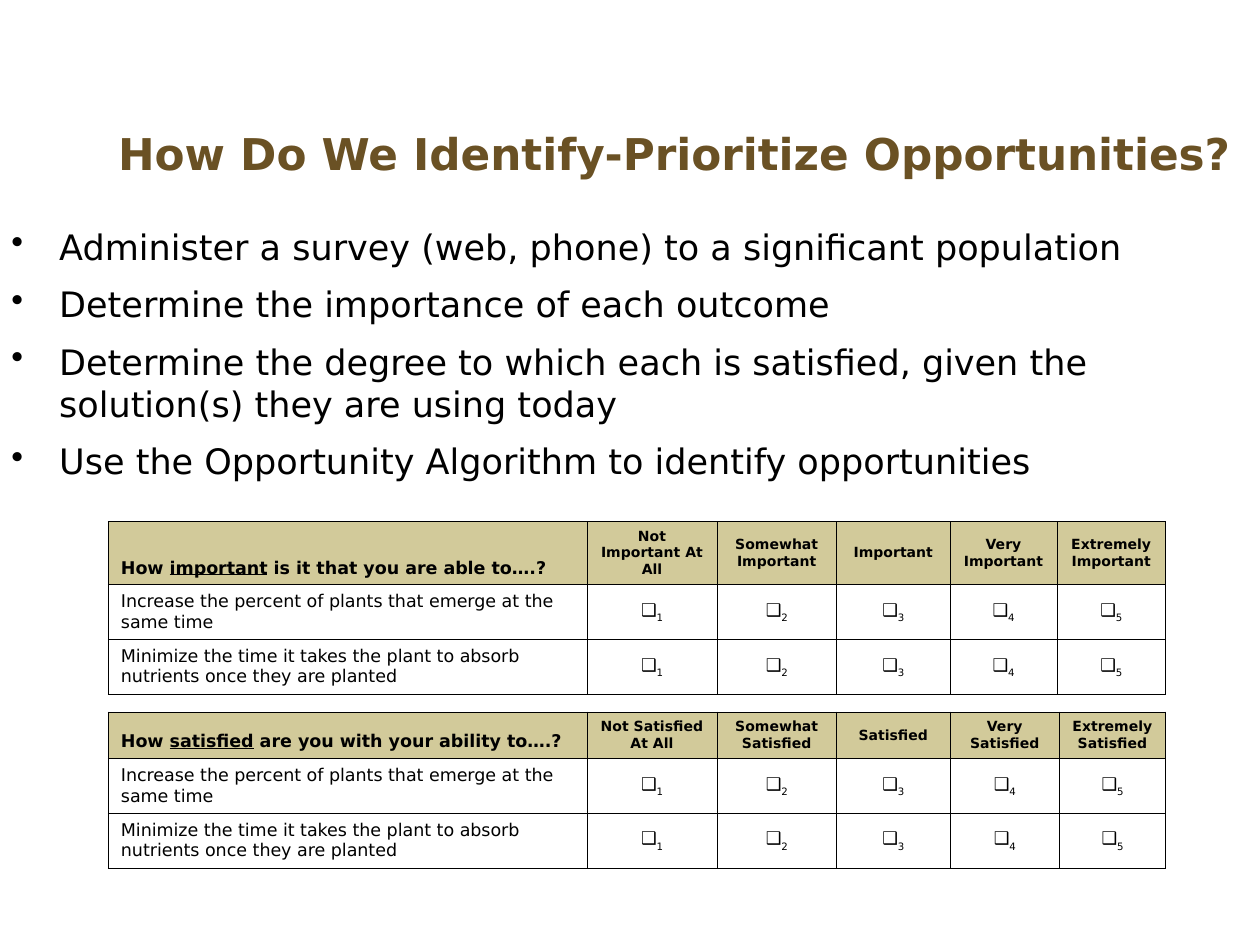
import pptx
import pptx.util
import pptx.dml.color
import pptx.enum.text
import pptx.oxml
import pptx.oxml.ns
from pptx.util import Inches

FONT = "DejaVu Sans"
BLACK, WHITE, BROWN, TAN = "000000", "FFFFFF", "6A5124", "D2CA9A"
LEFT, CENTER = pptx.enum.text.PP_ALIGN.LEFT, pptx.enum.text.PP_ALIGN.CENTER
MIDDLE, BOTTOM = pptx.enum.text.MSO_ANCHOR.MIDDLE, pptx.enum.text.MSO_ANCHOR.BOTTOM

BULLETS = [
    "Administer a survey (web, phone) to a significant population",
    "Determine the importance of each outcome",
    "Determine the degree to which each is satisfied, given the "
    "solution(s) they are using today",
    "Use the Opportunity Algorithm to identify opportunities",
]
OUTCOMES = [
    "Increase the percent of plants that emerge at the same time",
    "Minimize the time it takes the plant to absorb nutrients once they are planted",
]


def rgb(color):
    return pptx.dml.color.RGBColor.from_string(color)


def style_font(font, size, color=BLACK, bold=False, name=FONT):
    font.name = name
    font.size = pptx.util.Pt(size)
    font.bold = bold
    font.color.rgb = rgb(color)


def set_insets(tf):
    tf.margin_left = tf.margin_right = Inches(0.09)
    tf.margin_top = tf.margin_bottom = Inches(0.04)


def add_title(s, text):
    sp = s.shapes.title
    sp.left, sp.top = Inches(0.7), Inches(0.78)
    sp.width, sp.height = Inches(9.3), Inches(0.87)
    sp.fill.solid()
    sp.fill.fore_color.rgb = rgb(WHITE)
    tf = sp.text_frame
    tf.text = text
    tf.word_wrap = True
    tf.auto_size = pptx.enum.text.MSO_AUTO_SIZE.NONE
    tf.vertical_anchor = MIDDLE
    set_insets(tf)
    p = tf.paragraphs[0]
    p.alignment = CENTER
    style_font(p.runs[0].font, 25, BROWN, bold=True)


def add_bullets(s, lines):
    sp = s.shapes.add_textbox(Inches(0), Inches(1.75), Inches(9), Inches(4.95))
    tf = sp.text_frame
    tf.word_wrap = True
    set_insets(tf)
    for i, line in enumerate(lines):
        p = tf.add_paragraph() if i else tf.paragraphs[0]
        p.text = line
        p.space_before = pptx.util.Pt(8.8 if i else 0)
        pPr = p._p.get_or_add_pPr()
        pPr.set("marL", str(Inches(0.38)))
        pPr.set("indent", str(Inches(-0.38)))
        bullet = pptx.oxml.parse_xml(
            f'<a:buChar {pptx.oxml.ns.nsdecls("a")} char="•"/>')
        pPr.append(bullet)
        style_font(p.runs[0].font, 20)


def add_borders(cell):
    tcPr = cell._tc.get_or_add_tcPr()
    for i, side in enumerate(("lnL", "lnR", "lnT", "lnB")):
        line = pptx.oxml.parse_xml(
            f'<a:{side} {pptx.oxml.ns.nsdecls("a")} w="{pptx.util.Pt(0.45)}">'
            f'<a:solidFill><a:srgbClr val="{BLACK}"/></a:solidFill></a:{side}>')
        tcPr.insert(i, line)  # borders come before the fill


def fill_cell(cell, fill, anchor=MIDDLE, align=CENTER):
    """Format a cell and return its paragraph."""
    cell.fill.solid()
    cell.fill.fore_color.rgb = rgb(fill)
    add_borders(cell)
    cell.vertical_anchor = anchor
    p = cell.text_frame.paragraphs[0]
    p.alignment = align
    return p


def add_run(p, text, size, bold=False, name=FONT):
    r = p.add_run()
    r.text = text
    style_font(r.font, size, bold=bold, name=name)
    return r


def add_survey(s, top, widths, heights, question, ratings):
    frame = s.shapes.add_table(len(heights), len(widths), Inches(0.86), Inches(top),
                               Inches(sum(widths)), Inches(sum(heights)))
    table = frame.table
    table.horz_banding = False
    for column, width in zip(table.columns, widths):
        column.width = Inches(width)
    for row, height in zip(table.rows, heights):
        row.height = Inches(height)

    # Header: the question with its key word underlined, then the scale
    p = fill_cell(table.cell(0, 0), TAN, BOTTOM, LEFT)
    before, key, after = question
    add_run(p, before, 10, bold=True)
    add_run(p, key, 10, bold=True).font.underline = True
    add_run(p, after, 10, bold=True)
    for col, rating in enumerate(ratings, 1):
        add_run(fill_cell(table.cell(0, col), TAN), rating, 8, bold=True)

    # One row of numbered check boxes for each outcome
    for row, outcome in enumerate(OUTCOMES, 1):
        add_run(fill_cell(table.cell(row, 0), WHITE, align=LEFT), outcome, 10)
        for col in range(1, len(widths)):
            p = fill_cell(table.cell(row, col), WHITE)
            add_run(p, "❑", 10, name="Arial")
            number = add_run(p, str(col), 10)
            number.font._element.set("baseline", "-30000")


def main():
    prs = pptx.Presentation()
    prs.slide_width, prs.slide_height = Inches(10), Inches(7.5)
    s = prs.slides.add_slide(prs.slide_layouts[5])

    add_bullets(s, BULLETS)
    add_title(s, "How Do We Identify-Prioritize Opportunities?")
    add_survey(s, 4.14, [3.8, 1.03, 0.95, 0.9, 0.85, 0.86], [0.5, 0.43, 0.43],
               ("How ", "important", " is it that you are able to….?"),
               ["Not Important At All", "Somewhat Important", "Important",
                "Very Important", "Extremely Important"])
    add_survey(s, 5.65, [3.8, 1.03, 0.95, 0.9, 0.87, 0.84], [0.37, 0.43, 0.43],
               ("How ", "satisfied", " are you with your ability to….?"),
               ["Not Satisfied At All", "Somewhat Satisfied", "Satisfied",
                "Very Satisfied", "Extremely Satisfied"])

    prs.save("out.pptx")


if __name__ == "__main__":
    main()
